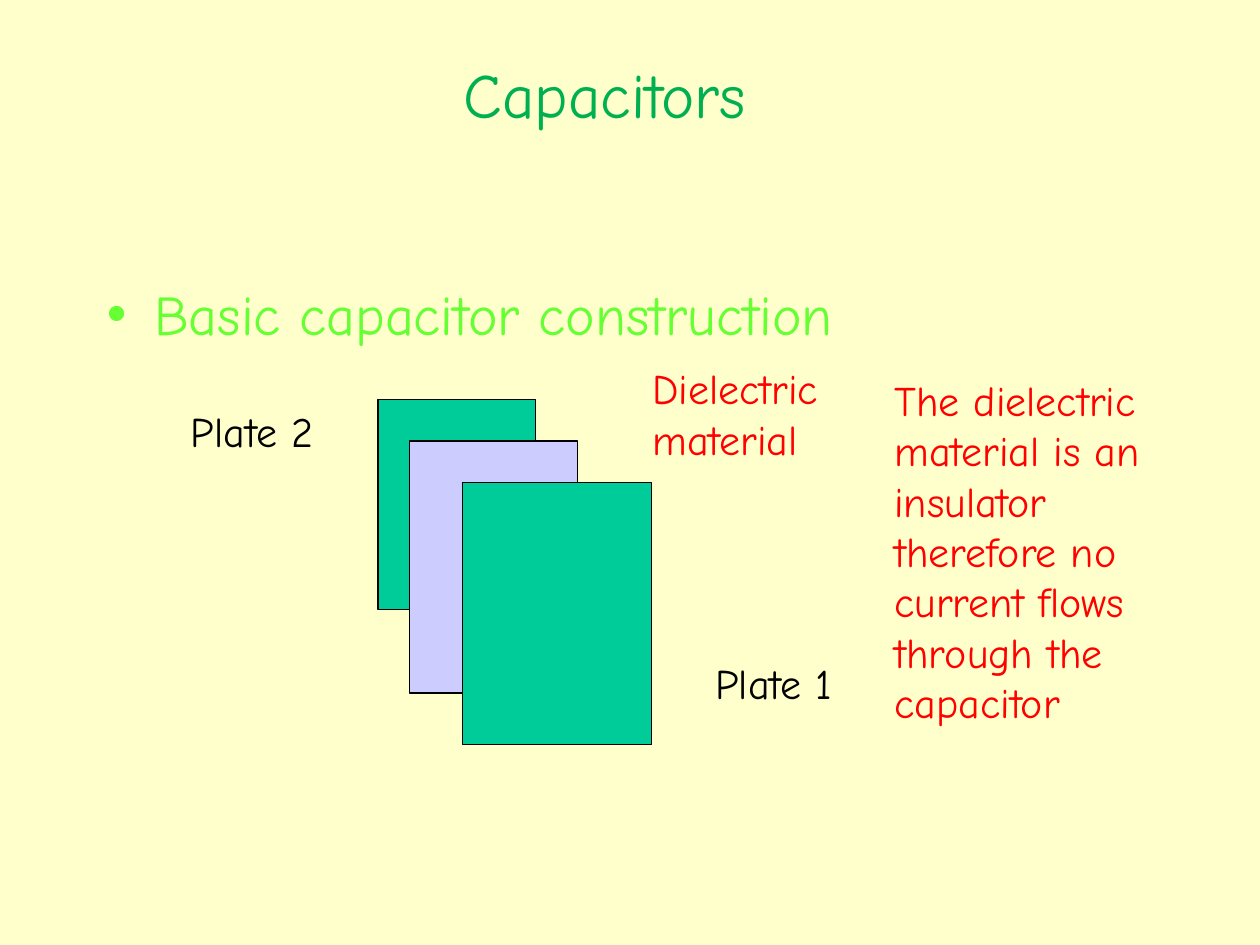
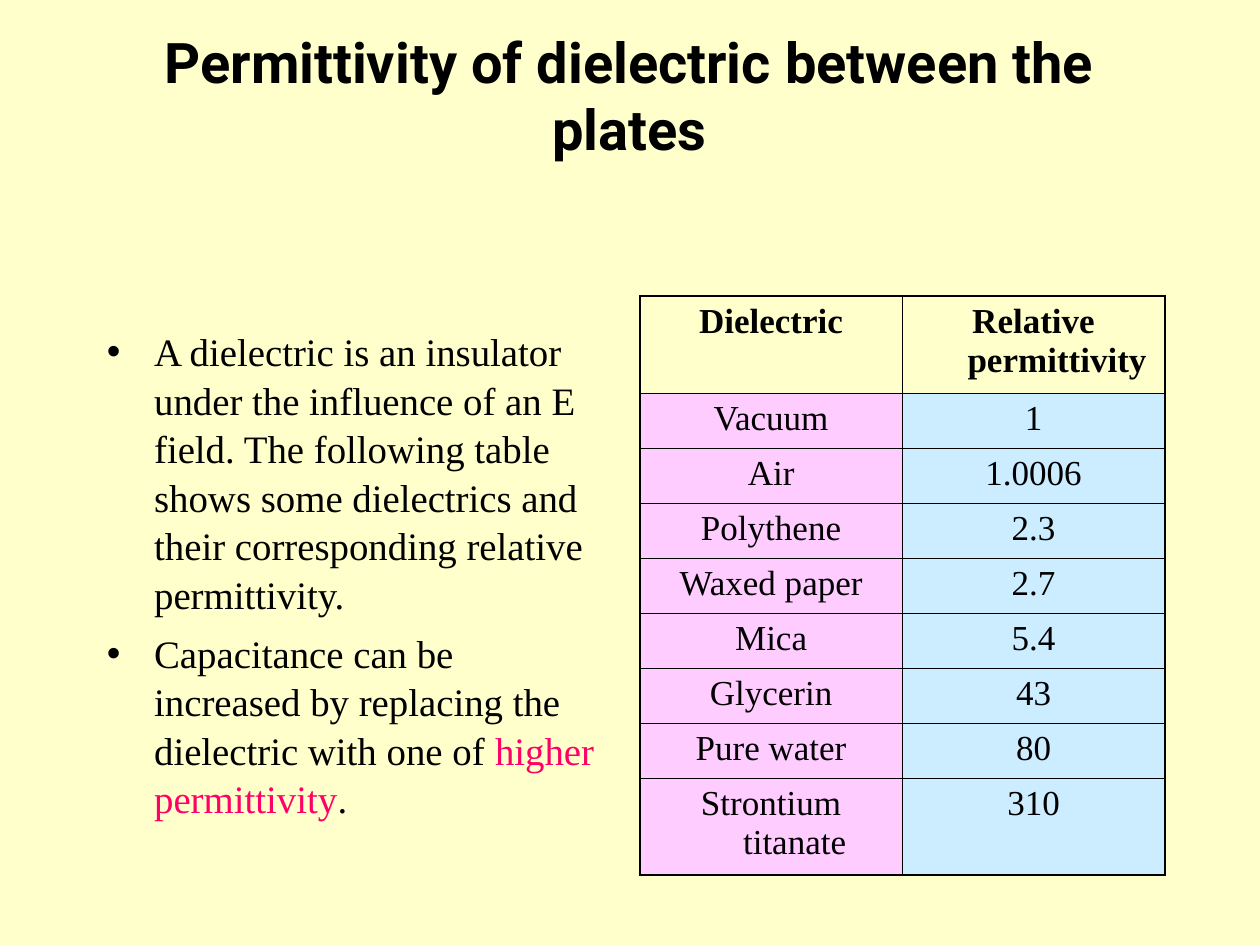
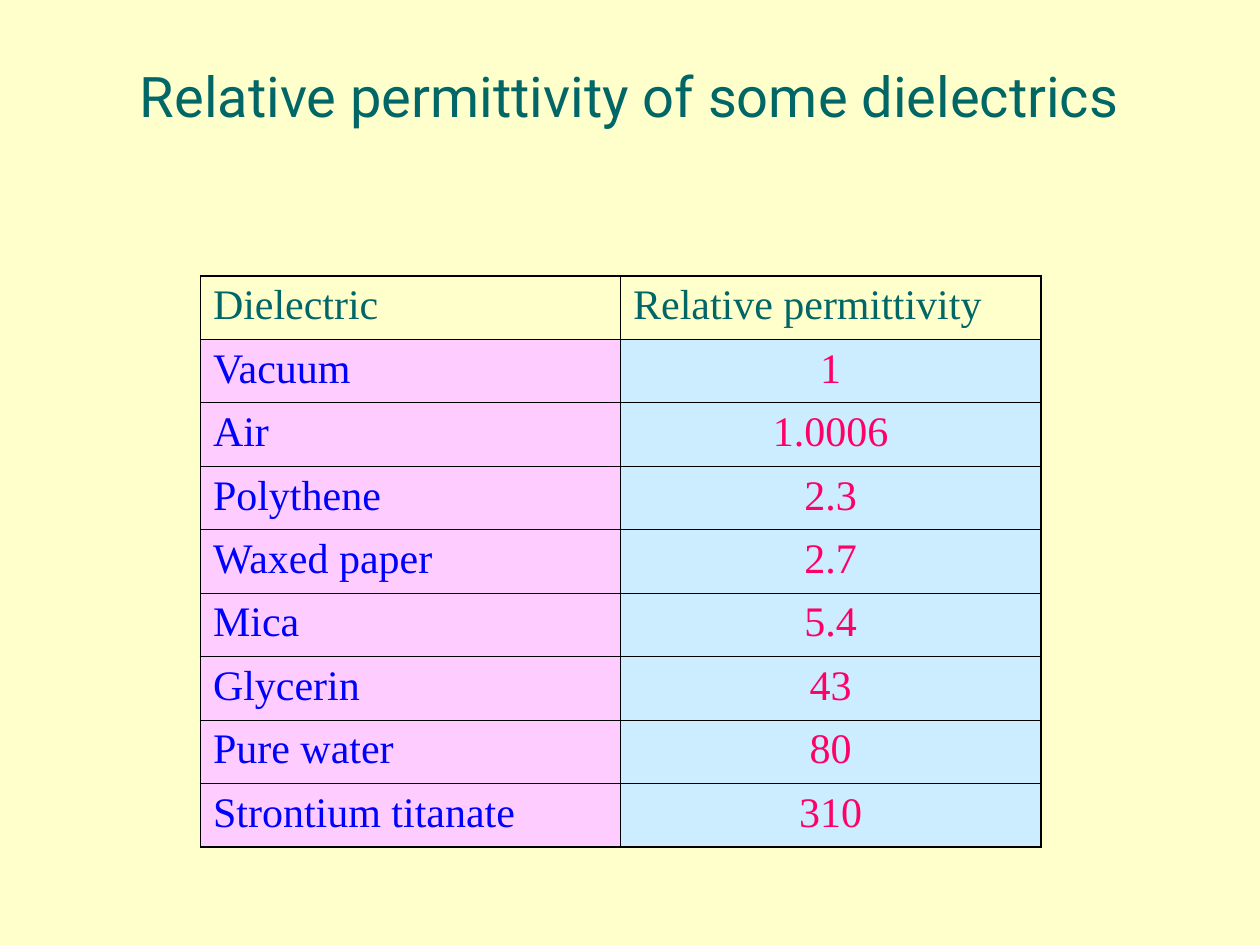
"""Build three slides on capacitors and their dielectrics."""
from lxml.etree import SubElement
from pptx import Presentation
from pptx.dml.color import RGBColor
from pptx.enum.shapes import MSO_SHAPE
from pptx.enum.text import MSO_ANCHOR, MSO_AUTO_SIZE, PP_ALIGN
from pptx.oxml.ns import qn
from pptx.util import Cm, Pt

CREAM = RGBColor(0xFF, 0xFF, 0xCC)
BLACK = RGBColor(0x00, 0x00, 0x00)
GREEN = RGBColor(0x00, 0xB0, 0x50)
LIME = RGBColor(0x66, 0xFF, 0x33)
JADE = RGBColor(0x00, 0xCC, 0x99)
LAVENDER = RGBColor(0xCC, 0xCC, 0xFF)
RED = RGBColor(0xFF, 0x00, 0x00)
ROSE = RGBColor(0xFF, 0x00, 0x66)
TEAL = RGBColor(0x00, 0x66, 0x66)
BLUE = RGBColor(0x00, 0x00, 0xFF)
PINK = RGBColor(0xFF, 0xCC, 0xFF)
SKY = RGBColor(0xCC, 0xEC, 0xFF)

COMIC, ROBOTO, TIMES = "Comic Neue", "Roboto", "Times New Roman"
TITLE_AND_BODY, TITLE_ONLY = 1, 5
INNER_LINE = 0.45
HANGING = Cm(0.95)

PLATES = [
    ((7.62, 8.05, 3.18, 4.24), JADE),
    ((8.26, 8.89, 3.38, 5.08), LAVENDER),
    ((9.32, 9.73, 3.81, 5.28), JADE),
]
LABELS = [
    ("Dielectric material", (12.9, 7.19, 4.88, 2.29), RED),
    ("Plate 1", (14.17, 13.13, 2.97, 1.27), BLACK),
    ("Plate 2", (3.6, 8.05, 3.18, 1.27), BLACK),
    ("The dielectric material is an insulator therefore no current flows "
     "through the capacitor", (17.78, 7.42, 6.99, 7.37), RED),
]
CONSTRUCTION = [[("Basic capacitor construction", LIME)]]
EXPLANATION = [
    [("A dielectric is an insulator under the influence of an E field. The following "
      "table shows some dielectrics and their corresponding relative permittivity.", BLACK)],
    [("Capacitance can be increased by replacing the dielectric with one of ", BLACK),
     ("higher permittivity", ROSE), (".", BLACK)],
]
PERMITTIVITIES = [
    ("Dielectric", "Relative permittivity"),
    ("Vacuum", "1"),
    ("Air", "1.0006"),
    ("Polythene", "2.3"),
    ("Waxed paper", "2.7"),
    ("Mica", "5.4"),
    ("Glycerin", "43"),
    ("Pure water", "80"),
    ("Strontium titanate", "310"),
]


def place(shape, box):
    shape.left, shape.top, shape.width, shape.height = map(Cm, box)


def style(run, font, size, color, bold=False):
    run.font.name, run.font.size, run.font.bold = font, Pt(size), bold
    run.font.color.rgb = color


def add_titled_slide(deck, layout, title, font, size, color, bold=False, box=(1.9, 0.64, 21.59, 2.54)):
    slide = deck.slides.add_slide(deck.slide_layouts[layout])
    heading = slide.shapes.title
    place(heading, box)
    frame = heading.text_frame
    frame.text = title
    frame.auto_size = MSO_AUTO_SIZE.NONE
    frame.vertical_anchor = MSO_ANCHOR.MIDDLE
    frame.paragraphs[0].alignment = PP_ALIGN.CENTER
    style(frame.paragraphs[0].runs[0], font, size, color, bold)
    return slide


def fill_body(slide, bullets, box, font, size, spacing=1.0):
    body = slide.placeholders[1]
    place(body, box)
    frame = body.text_frame
    frame.auto_size = MSO_AUTO_SIZE.NONE
    for index, pieces in enumerate(bullets):
        paragraph = frame.add_paragraph() if index else frame.paragraphs[0]
        paragraph.space_before = Pt(6 if index else 0)
        paragraph.line_spacing = spacing
        bullet_color = SubElement(paragraph._p.get_or_add_pPr(), qn("a:buClr"))
        SubElement(bullet_color, qn("a:srgbClr"), val=str(pieces[0][1]))
        for words, color in pieces:
            run = paragraph.add_run()
            run.text = words
            style(run, font, size, color)


def add_plate(slide, box, color):
    plate = slide.shapes.add_shape(MSO_SHAPE.RECTANGLE, *map(Cm, box))
    plate.shadow.inherit = False
    plate.fill.solid()
    plate.fill.fore_color.rgb = color
    plate.line.color.rgb = BLACK
    plate.line.width = Pt(0.75)


def add_label(slide, words, box, color):
    frame = slide.shapes.add_textbox(*map(Cm, box)).text_frame
    frame.word_wrap = True
    frame.auto_size = MSO_AUTO_SIZE.SHAPE_TO_FIT_TEXT
    frame.text = words
    style(frame.paragraphs[0].runs[0], COMIC, 24, color)


def draw_borders(cell, widths):
    properties = cell._tc.get_or_add_tcPr()
    for side, width in zip("LRTB", widths):
        border = SubElement(properties, qn(f"a:ln{side}"), w=str(Pt(width)))
        fill = SubElement(border, qn("a:solidFill"))
        SubElement(fill, qn("a:srgbClr"), val=str(BLACK))


def add_permittivity_table(slide, box, row_heights, outer_line, size, colors, centered, bold_header):
    """Draw the dielectrics; colors are for the header, the names and the values."""
    last = len(PERMITTIVITIES) - 1
    table = slide.shapes.add_table(last + 1, 2, *map(Cm, box)).table
    table.first_row = table.horz_banding = False
    for column in table.columns:
        column.width = Cm(box[2] / 2)
    for r, (entries, height) in enumerate(zip(PERMITTIVITIES, row_heights)):
        table.rows[r].height = Cm(height)
        for c, words in enumerate(entries):
            cell = table.cell(r, c)
            on_edge = (c == 0, c == 1, r == 0, r == last)
            draw_borders(cell, [outer_line if edge else INNER_LINE for edge in on_edge])
            cell.fill.solid()
            cell.fill.fore_color.rgb = (PINK, SKY)[c] if r else CREAM
            cell.text_frame.text = words
            paragraph = cell.text_frame.paragraphs[0]
            if centered:
                margins = paragraph._p.get_or_add_pPr()
                margins.set("marL", str(HANGING))
                margins.set("indent", str(-HANGING))
            in_middle = centered or (r and c)
            paragraph.alignment = PP_ALIGN.CENTER if in_middle else PP_ALIGN.LEFT
            color = colors[c + 1] if r else colors[0]
            style(paragraph.runs[0], TIMES, size, color, bold_header and r == 0)


def main():
    deck = Presentation()
    deck.slide_width, deck.slide_height = Cm(25.4), Cm(19.05)
    background = deck.slide_master.background.fill
    background.solid()
    background.fore_color.rgb = CREAM

    capacitors = add_titled_slide(deck, TITLE_AND_BODY, "Capacitors", COMIC, 36, GREEN,
                                  box=(1.4, 0.61, 21.59, 2.54))
    fill_body(capacitors, CONSTRUCTION, (1.9, 5.51, 21.59, 11.43), COMIC, 32)
    for box, color in PLATES:
        add_plate(capacitors, box, color)
    for words, box, color in LABELS:
        add_label(capacitors, words, box, color)

    permittivity = add_titled_slide(deck, TITLE_AND_BODY, "Permittivity of dielectric between the plates",
                                    ROBOTO, 32, BLACK, bold=True)
    fill_body(permittivity, EXPLANATION, (1.9, 6.45, 10.59, 11.43), TIMES, 22.2, spacing=1.04)
    add_permittivity_table(permittivity, (12.9, 5.97, 10.58, 11.68), [1.95] + [1.11] * 7 + [1.95],
                           0.96, 20, (BLACK, BLACK, BLACK), centered=True, bold_header=True)

    dielectrics = add_titled_slide(deck, TITLE_ONLY, "Relative permittivity of some dielectrics",
                                   ROBOTO, 32, TEAL)
    add_permittivity_table(dielectrics, (4.04, 5.56, 16.94, 11.5), [1.28] * 9,
                           1.08, 24, (TEAL, BLUE, ROSE), centered=False, bold_header=False)
    deck.save("out.pptx")


if __name__ == "__main__":
    main()
